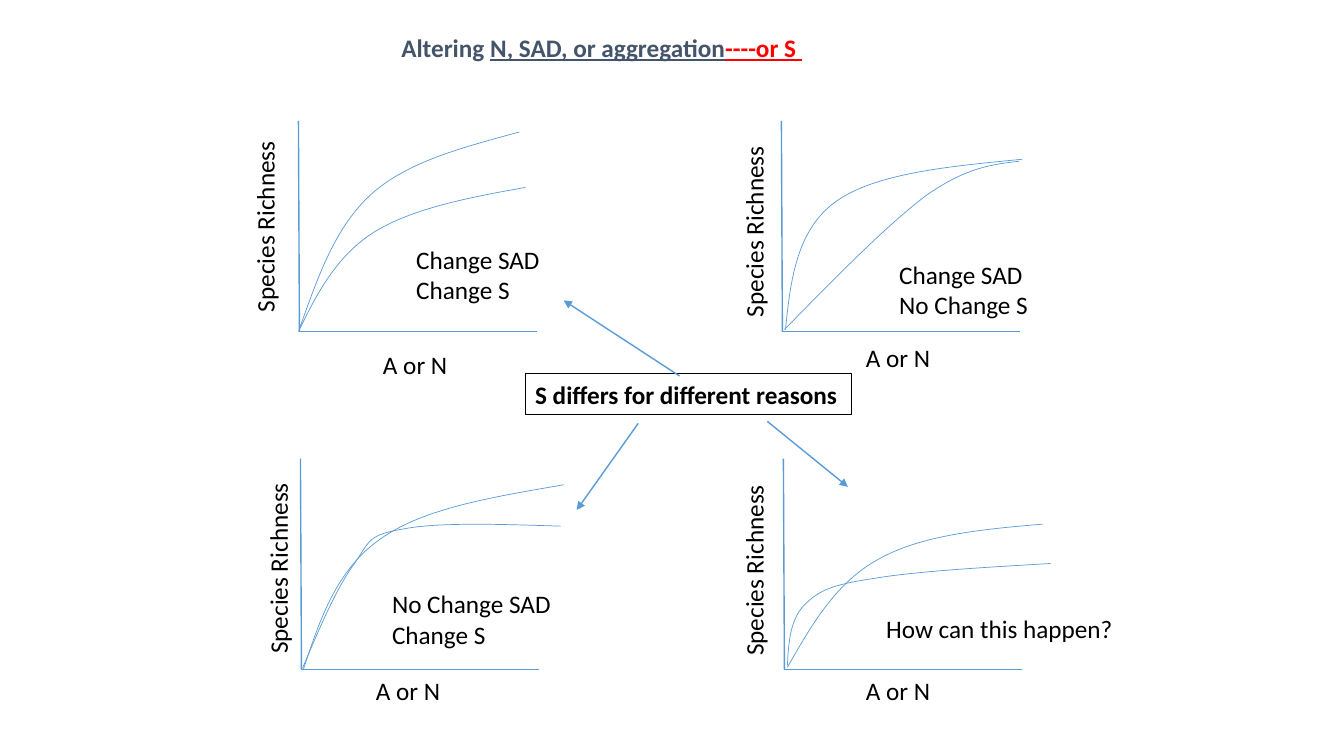
from dataclasses import dataclass

from lxml.etree import SubElement
from pptx import Presentation
from pptx.dml.color import RGBColor
from pptx.enum.shapes import MSO_CONNECTOR, MSO_SHAPE
from pptx.enum.text import MSO_ANCHOR, MSO_AUTO_SIZE, PP_ALIGN
from pptx.oxml.ns import qn
from pptx.util import Inches, Pt


@dataclass(frozen=True)
class Theme:
    font: str = "Calibri"
    size: int = 18
    ink: str = "000000"
    title: str = "44546A"
    alert: str = "FF0000"
    line: str = "5B9BD5"
    axis_width: float = 1
    curve_width: float = 0.5
    frame_width: float = 0.75


THEME = Theme()

# Title runs: text, colour, underlined
TITLE = [
    ("Altering ", THEME.title, False),
    ("N, SAD, or aggregation", THEME.title, True),
    ("----or S ", THEME.alert, True),
]
TITLE_BOX = (3.88, 0.27, 4.21, 0.4)
X_LABEL, Y_LABEL = "A or N", "Species Richness"
CONCLUSION = "S differs for different reasons"
CONCLUSION_BOX = (5.21, 3.71, 3.24, 0.4)
ARROWS = [
    ((6.74, 3.73), (5.59, 2.98)),
    ((6.33, 4.2), (5.72, 5.06)),
    ((7.61, 4.18), (8.41, 4.83)),
]

# Each panel is measured in inches from its origin: x to the right, y upwards.
# A curve is a start point followed by Bezier triples.
AXIS_X, AXIS_Y, AXIS_LEAN = 2.36, 2.09, 0.01
PANELS = [
    {
        "origin": (2.97, 3.29),
        "note": ["Change SAD", "Change S"],
        "note_at": (1.06, 0.92), "note_width": 1.44,
        "x_label_at": (0.73, -0.13), "y_label_at": (-1.3, 1.25),
        "curves": [
            [(0, 0.03), (0.18, 0.53), (0.35, 1.04), (0.72, 1.37),
             (1.08, 1.69), (1.63, 1.83), (2.18, 1.98)],
            [(-0.01, 0), (0.17, 0.37), (0.36, 0.74), (0.73, 0.98),
             (1.11, 1.22), (1.68, 1.33), (2.24, 1.43)],
        ],
    },
    {
        "origin": (7.76, 3.29),
        "note": ["Change SAD", "No Change S"],
        "note_at": (1.06, 0.77), "note_width": 1.5,
        "x_label_at": (0.73, -0.06), "y_label_at": (-1.24, 1.2),
        "curves": [
            [(0.03, 0.02), (0.08, 0.51), (0.14, 1.01), (0.53, 1.29),
             (0.92, 1.57), (1.65, 1.64), (2.38, 1.71)],
            [(0.02, 0.02), (0.54, 0.55), (1.06, 1.08), (1.44, 1.36),
             (1.83, 1.63), (2.09, 1.66), (2.35, 1.69)],
        ],
    },
    {
        "origin": (2.99, 6.64),
        "note": ["No Change SAD", "Change S"],
        "note_at": (0.8, 0.85), "note_width": 1.8,
        "x_label_at": (0.64, -0.01), "y_label_at": (-1.19, 1.21),
        "curves": [
            [(0.02, 0), (0.18, 0.49), (0.35, 0.99), (0.78, 1.29),
             (1.21, 1.6), (1.91, 1.71), (2.6, 1.83)],
            [(0.01, 0.01), (0.18, 0.41), (0.35, 0.81), (0.52, 1.04),
             (0.68, 1.27), (0.65, 1.33), (1, 1.39),
             (1.34, 1.46), (1.96, 1.44), (2.57, 1.42)],
        ],
    },
    {
        "origin": (7.78, 6.64),
        "note": ["How can this happen?"],
        "note_at": (0.91, 0.6), "note_width": 2.48,
        "x_label_at": (0.71, -0.01), "y_label_at": (-1.26, 1.19),
        "curves": [
            [(0.03, 0.02), (0.27, 0.44), (0.51, 0.86), (0.93, 1.09),
             (1.35, 1.33), (1.96, 1.39), (2.56, 1.44)],
            [(0.03, 0.04), (0.04, 0.27), (0.06, 0.5), (0.2, 0.64),
             (0.34, 0.78), (0.47, 0.84), (0.88, 0.9),
             (1.28, 0.97), (1.96, 1.01), (2.64, 1.05)],
        ],
    },
]
LINE_HEIGHT, BOX_PADDING = 0.31, 0.09


def place(shape, box):
    shape.left, shape.top, shape.width, shape.height = map(Inches, box)


def add_run(paragraph, text, color=THEME.ink, bold=False, underline=None):
    run = paragraph.add_run()
    run.text = text
    run.font.name, run.font.size = THEME.font, Pt(THEME.size)
    run.font.bold, run.font.underline = bold, underline
    run.font.color.rgb = RGBColor.from_string(color)


def fit_frame(shape):
    """Make the text start top left, unwrapped, and return its frame."""
    frame = shape.text_frame
    frame.word_wrap = False
    frame.auto_size = MSO_AUTO_SIZE.SHAPE_TO_FIT_TEXT
    frame.vertical_anchor = MSO_ANCHOR.TOP
    frame.paragraphs[0].alignment = PP_ALIGN.LEFT
    return frame


def add_label(slide, lines, left, top, width, rotation=0):
    height = BOX_PADDING + LINE_HEIGHT * len(lines)
    shape = slide.shapes.add_textbox(*map(Inches, (left, top, width, height)))
    shape.rotation = rotation
    frame = fit_frame(shape)
    for index, line in enumerate(lines):
        paragraph = frame.add_paragraph() if index else frame.paragraphs[0]
        add_run(paragraph, line)


def style_line(shape, width, color=THEME.line):
    shape.line.color.rgb = RGBColor.from_string(color)
    shape.line.width = Pt(width)


def add_line(slide, start, end, arrow=False):
    line = slide.shapes.add_connector(
        MSO_CONNECTOR.STRAIGHT, *map(Inches, (*start, *end)))
    style_line(line, THEME.axis_width)
    if arrow:
        SubElement(line.line._get_or_add_ln(), qn("a:tailEnd"), type="triangle")
    SubElement(line._element.spPr, qn("a:effectLst"))


def add_curve(slide, points):
    """Draw an open outline, joining its points in threes as Bezier segments."""
    start, *rest = [tuple(map(Inches, point)) for point in points]
    builder = slide.shapes.build_freeform(*start)
    builder.add_line_segments(rest, close=False)
    shape = builder.convert_to_shape()
    outline = next(shape._element.iter(qn("a:path")))
    corners = outline.findall(qn("a:lnTo"))
    for first in range(0, len(corners), 3):
        segment = SubElement(outline, qn("a:cubicBezTo"))
        for corner in corners[first:first + 3]:
            segment.append(corner[0])
            outline.remove(corner)
    shape.shadow.inherit = False
    shape.fill.background()
    style_line(shape, THEME.curve_width)


def add_panel(slide, panel):
    def at(point):
        return panel["origin"][0] + point[0], panel["origin"][1] - point[1]

    add_line(slide, at((-AXIS_LEAN, AXIS_Y)), at((0, 0)))
    add_line(slide, at((AXIS_X, 0)), at((0, 0)))
    for curve in panel["curves"]:
        add_curve(slide, [at(point) for point in curve])
    add_label(slide, panel["note"], *at(panel["note_at"]), panel["note_width"])
    add_label(slide, [X_LABEL], *at(panel["x_label_at"]), 0.85)
    add_label(slide, [Y_LABEL], *at(panel["y_label_at"]), 1.91, rotation=270)


def main():
    presentation = Presentation()
    presentation.slide_width, presentation.slide_height = Inches(13.33), Inches(7.5)
    slide = presentation.slides.add_slide(presentation.slide_layouts[5])

    title = slide.shapes.title
    place(title, TITLE_BOX)
    paragraph = fit_frame(title).paragraphs[0]
    for text, color, underline in TITLE:
        add_run(paragraph, text, color, True, underline)

    for panel in PANELS:
        add_panel(slide, panel)

    conclusion = slide.shapes.add_shape(MSO_SHAPE.RECTANGLE, 0, 0, 0, 0)
    place(conclusion, CONCLUSION_BOX)
    conclusion.shadow.inherit = False
    conclusion.fill.background()
    style_line(conclusion, THEME.frame_width, THEME.ink)
    add_run(fit_frame(conclusion).paragraphs[0], CONCLUSION, bold=True)
    for start, end in ARROWS:
        add_line(slide, start, end, arrow=True)

    presentation.save("out.pptx")


if __name__ == "__main__":
    main()
